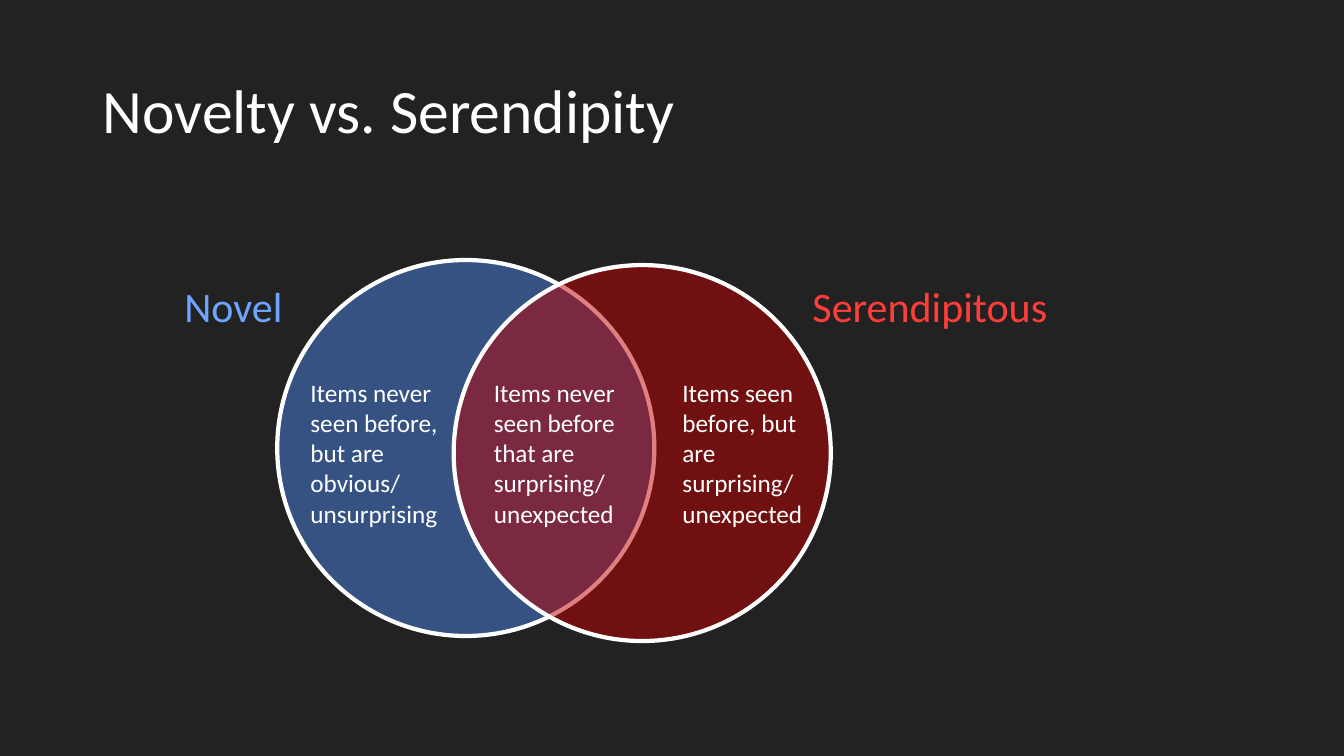
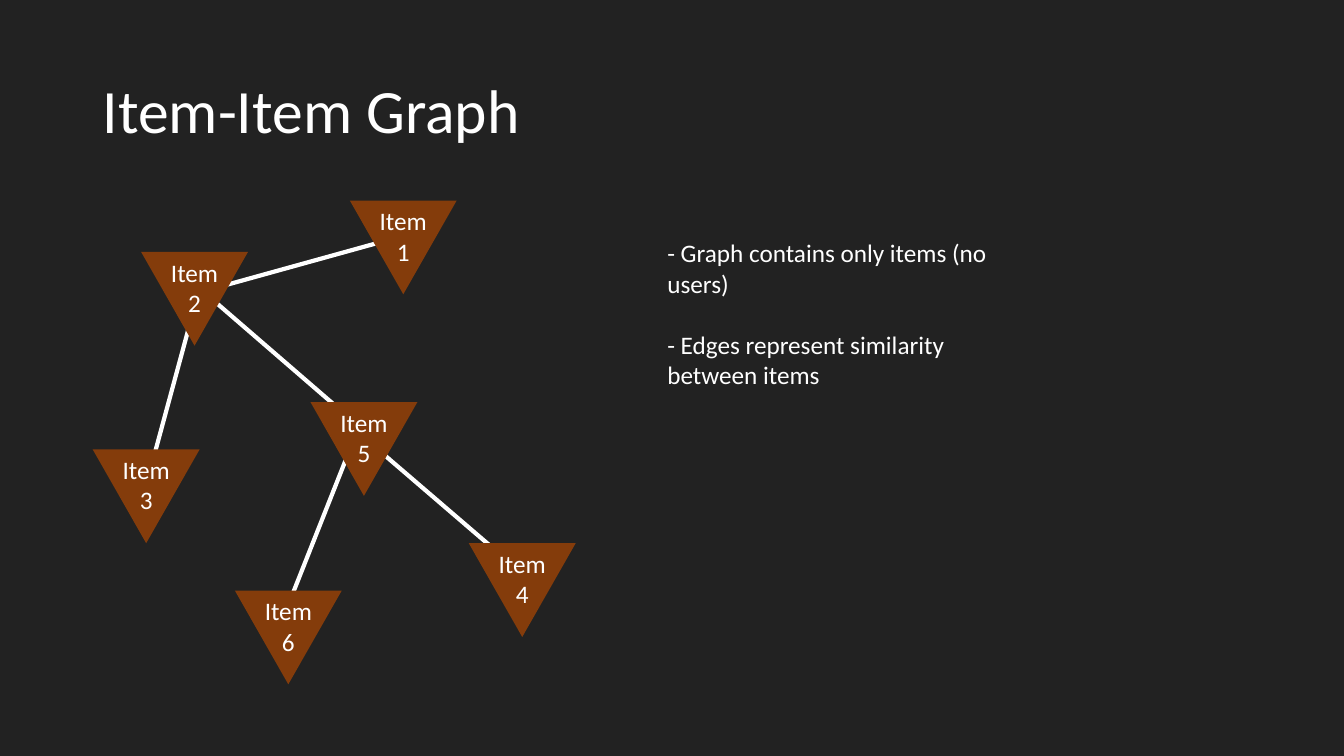
from lxml import etree
from pptx import Presentation
from pptx.dml.color import RGBColor
from pptx.enum import shapes, text
from pptx.oxml import ns
from pptx.util import Inches, Pt

COLORS = {
    "background": "222222",
    "white": "FFFFFF",
    "novel": "4472C4",
    "novel_label": "6EA3FF",
    "serendipitous": "C00000",
    "serendipitous_label": "FF3E3A",
    "item": "843C0B",
}
FONT = "Calibri"
LINE_WIDTH = 3
BODY_SIZE = 18


def rgb(name):
    return RGBColor.from_string(COLORS[name])


class Deck:
    """Shared style, plus the slide being built."""

    def __init__(self):
        self.prs = Presentation()
        self.prs.slide_width = Inches(13.33)
        self.prs.slide_height = Inches(7.5)
        backdrop = self.prs.slide_master.background.fill
        backdrop.solid()
        backdrop.fore_color.rgb = rgb("background")
        self.slide = None

    def style(self, paragraph, size, color="white", align=text.PP_ALIGN.LEFT):
        paragraph.alignment = align
        paragraph.font.name = FONT
        paragraph.font.size = Pt(size)
        paragraph.font.color.rgb = rgb(color)

    def new_slide(self, heading):
        self.slide = self.prs.slides.add_slide(self.prs.slide_layouts[5])
        title = self.slide.shapes.title
        title.left, title.top = Inches(0.92), Inches(0.4)
        title.width, title.height = Inches(11.5), Inches(1.45)
        title.text_frame.vertical_anchor = text.MSO_ANCHOR.MIDDLE
        title.text_frame.text = heading
        paragraph = title.text_frame.paragraphs[0]
        paragraph.line_spacing = 0.9
        self.style(paragraph, 44)

    def label(self, lines, left, top, width, height, size=BODY_SIZE,
              color="white", align=text.PP_ALIGN.LEFT, gap=0, parent=None):
        box = (parent or self.slide).shapes.add_textbox(
            Inches(left), Inches(top), Inches(width), Inches(height))
        frame = box.text_frame
        frame.word_wrap = True
        frame.auto_size = text.MSO_AUTO_SIZE.SHAPE_TO_FIT_TEXT
        frame.text = "\n".join(lines)
        for paragraph in frame.paragraphs:
            self.style(paragraph, size, color, align)
        for paragraph in frame.paragraphs[:-1]:
            paragraph.space_after = Pt(gap)

    def circle(self, left, top, color, opacity):
        oval = self.slide.shapes.add_shape(
            shapes.MSO_SHAPE.OVAL, Inches(left), Inches(top),
            Inches(3.74), Inches(3.73))
        oval.shadow.inherit = False
        oval.fill.solid()
        oval.fill.fore_color.rgb = rgb(color)
        oval.line.color.rgb = rgb("white")
        oval.line.width = Pt(LINE_WIDTH)
        # Fill transparency
        tint = oval.fill._xPr.find(".//" + ns.qn("a:srgbClr"))
        etree.SubElement(tint, ns.qn("a:alpha"), val=str(opacity * 1000))

    def edge(self, start, end):
        line = self.slide.shapes.add_connector(
            shapes.MSO_CONNECTOR.STRAIGHT,
            *(Inches(value) for value in (*start, *end)))
        line.line.color.rgb = rgb("white")
        line.line.width = Pt(LINE_WIDTH)
        etree.SubElement(line._element.spPr, ns.qn("a:effectLst"))

    def item(self, number, left, top):
        node = self.slide.shapes.add_group_shape()
        triangle = node.shapes.add_shape(
            shapes.MSO_SHAPE.ISOSCELES_TRIANGLE, Inches(left), Inches(top),
            Inches(1.06), Inches(0.93))
        triangle.shadow.inherit = False
        triangle.fill.solid()
        triangle.fill.fore_color.rgb = rgb("item")
        triangle.line.fill.background()
        # Point the triangle down
        triangle._element.spPr.xfrm.set("flipV", "1")
        self.label(["Item", str(number)], left + 0.145, top, 0.77, 0.71,
                   align=text.PP_ALIGN.CENTER, parent=node)


def venn_slide(deck):
    deck.new_slide("Novelty vs. Serendipity")
    deck.circle(2.75, 2.58, "novel", 60)
    deck.circle(4.5, 2.63, "serendipitous", 50)

    # Regions of the diagram
    regions = [
        ("Items never seen before, but are obvious/ unsurprising", 2.98, 1.52),
        ("Items never seen before that are surprising/unexpected", 4.8, 1.4),
        ("Items seen before, but are surprising/unexpected", 6.67, 1.4),
    ]
    for description, left, width in regions:
        deck.label([description], left, 3.69, width, 1.62)

    # Names of the two sets
    deck.label(["Novel"], 1.73, 2.73, 1.84, 0.61, 30, "novel_label")
    deck.label(["Serendipitous"], 7.96, 2.73, 2.55, 0.61, 30,
               "serendipitous_label")


def graph_slide(deck):
    deck.new_slide("Item-Item Graph")

    # Edges go first so that the items cover their ends
    edges = [
        ((2.84, 6.05), (3.47, 4.46)),
        ((3.69, 4.34), (1.99, 2.87)),
        ((5.38, 5.86), (3.68, 4.4)),
        ((1.45, 4.81), (1.96, 2.93)),
        ((1.98, 2.9), (4, 2.34)),
    ]
    for start, end in edges:
        deck.edge(start, end)

    items = [(3.47, 1.99), (1.4, 2.5), (0.92, 4.46),
             (4.65, 5.39), (3.08, 3.99), (2.33, 5.86)]
    for number, (left, top) in enumerate(items, start=1):
        deck.item(number, left, top)

    deck.label(["- Graph contains only items (no users)",
                "- Edges represent similarity between items"],
               6.52, 2.31, 3.81, 1.62, gap=22)


def main():
    deck = Deck()
    venn_slide(deck)
    graph_slide(deck)
    deck.prs.save("out.pptx")


if __name__ == "__main__":
    main()
